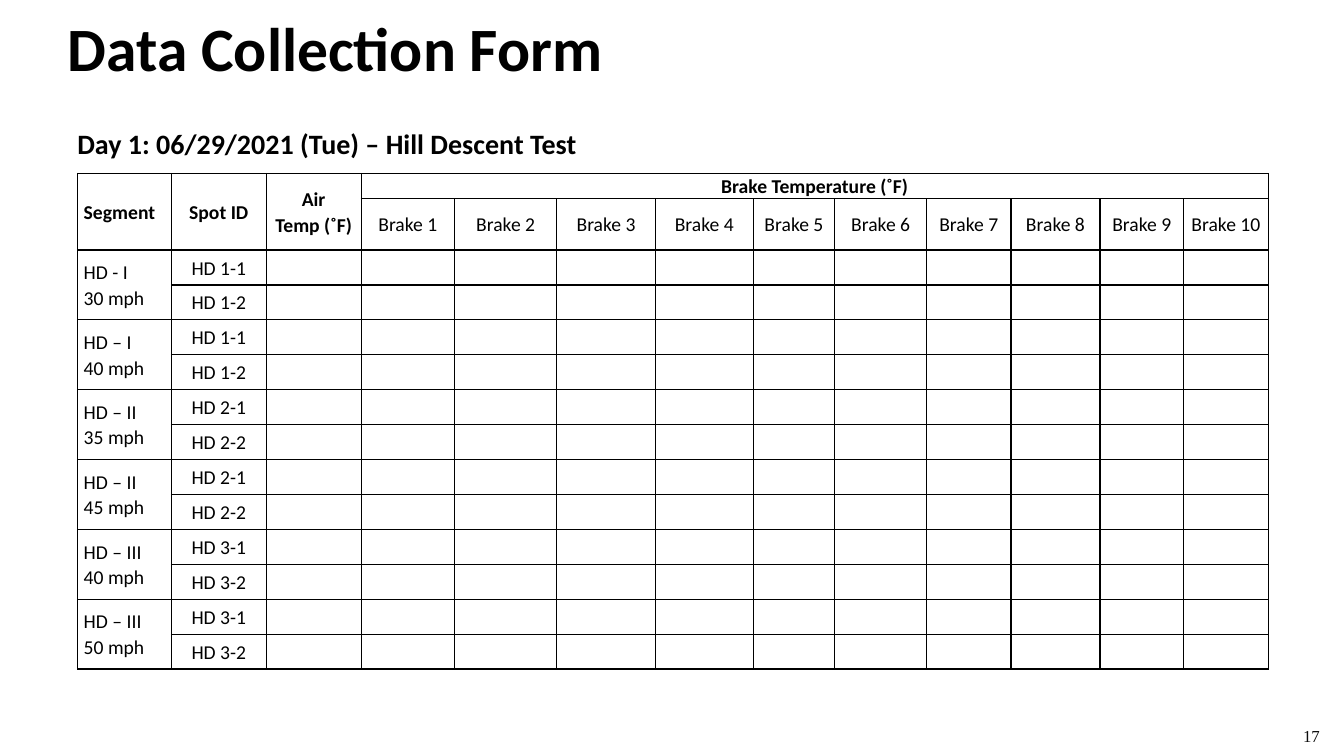
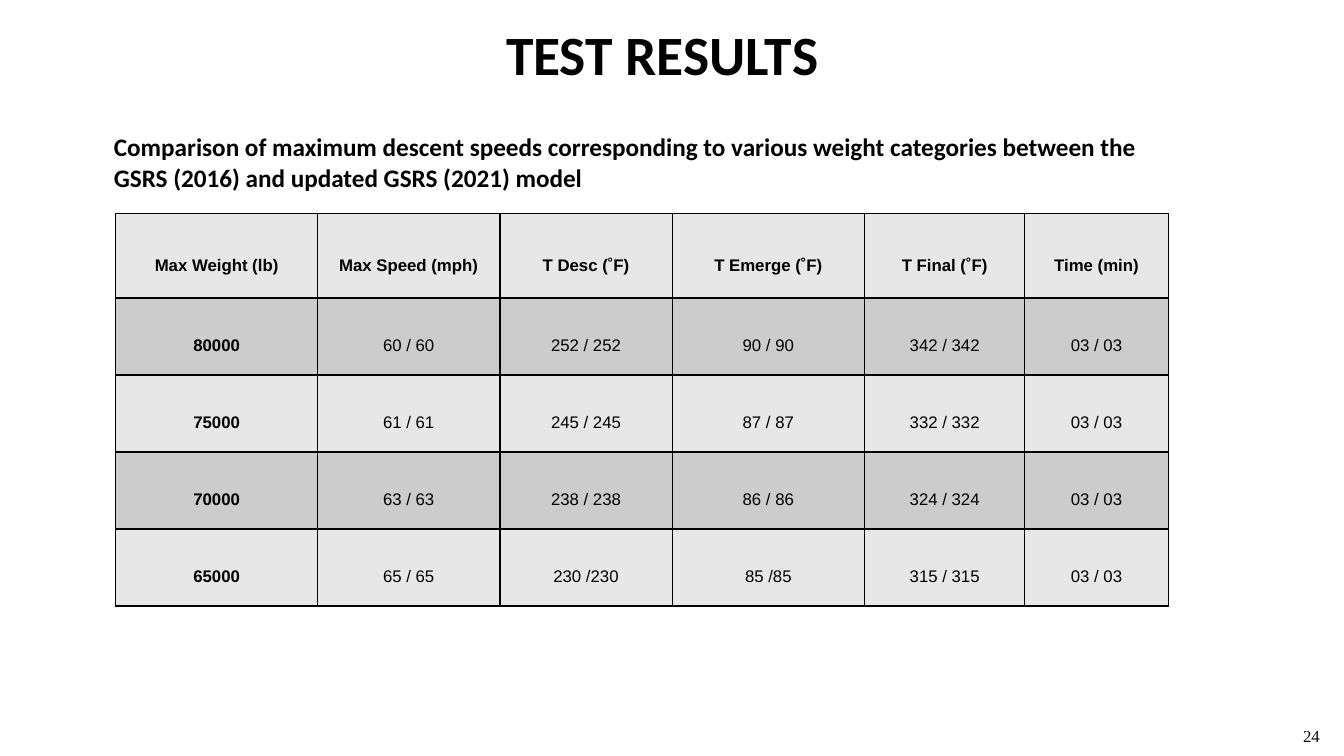
from dataclasses import dataclass

from lxml.etree import SubElement
from pptx import Presentation
from pptx.dml.color import RGBColor
from pptx.enum.text import MSO_ANCHOR as Anchor, MSO_AUTO_SIZE as AutoSize, PP_ALIGN as Align
from pptx.oxml.ns import qn
from pptx.util import Cm, Pt


@dataclass(frozen=True)
class Theme:
    """Colours, fonts and type sizes shared by the slides."""
    ink: str = "000000"
    number_ink: str = "0D0D0D"
    light: str = "E7E7E7"
    dark: str = "CCCCCC"
    main_font: str = "Calibri"
    data_font: str = "Arial"
    number_font: str = "Times New Roman"
    form_title: float = 44
    results_title: float = 39.6
    form_heading: float = 20
    results_heading: float = 18
    form_cell: float = 14
    small: float = 12
    border: float = 1


THEME = Theme()
TITLE_ONLY = 5

SEGMENTS = [
    ("HD - I", 30, 1), ("HD – I", 40, 1),
    ("HD – II", 35, 2), ("HD – II", 45, 2),
    ("HD – III", 40, 3), ("HD – III", 50, 3),
]
FORM_COLS = [2.36, 2.39, 2.39, 2.36, 2.57, 2.49, 2.46, 2.06, 2.31, 2.13, 2.24, 2.11, 2.13]
FORM_ROWS = [0.64, 1.29] + [0.88] * (2 * len(SEGMENTS))

RESULTS = [
    ["Max Weight (lb)", "Max Speed (mph)", "T Desc (˚F)", "T Emerge (˚F)", "T Final (˚F)", "Time (min)"],
    ["80000", "60 / 60", "252 / 252", "90 / 90", "342 / 342", "03 / 03"],
    ["75000", "61 / 61", "245 / 245", "87 / 87", "332 / 332", "03 / 03"],
    ["70000", "63 / 63", "238 / 238", "86 / 86", "324 / 324", "03 / 03"],
    ["65000", "65 / 65", "230 /230", "85 /85", "315 / 315", "03 / 03"],
]
RESULTS_COLS = [5.08, 4.6, 4.34, 4.85, 4.04, 3.61]
RESULTS_ROWS = [2.13] + [1.94] * 4


def write(tf, text, size, font=THEME.main_font, color=THEME.ink, bold=False,
          align=Align.LEFT, spacing=None):
    """Fill a text frame, one paragraph for each line of text."""
    for i, line in enumerate(text.split("\n")):
        p = tf.add_paragraph() if i else tf.paragraphs[0]
        p.alignment = align
        if spacing:
            p.line_spacing = spacing
        if not line:
            SubElement(p._p, qn("a:endParaRPr"), sz=str(int(size * 100)))
            continue
        r = p.add_run()
        r.text = line
        r.font.size, r.font.name, r.font.bold = Pt(size), font, bold
        r.font.color.rgb = RGBColor.from_string(color)


def add_text(s, box, text, size, anchor=Anchor.TOP, **fmt):
    """Add a wrapped text box at (left, top, width, height) in centimetres."""
    tf = s.shapes.add_textbox(*map(Cm, box)).text_frame
    tf.word_wrap = True
    tf.vertical_anchor = anchor
    write(tf, text, size, **fmt)


def add_slide(prs, title, box, size, number, align=Align.LEFT):
    """Add a slide with its title and page number."""
    s = prs.slides.add_slide(prs.slide_layouts[TITLE_ONLY])
    sp = s.shapes.title
    sp.left, sp.top, sp.width, sp.height = map(Cm, box)
    tf = sp.text_frame
    tf.auto_size = AutoSize.NONE
    tf.vertical_anchor = Anchor.MIDDLE
    write(tf, title, size, bold=True, align=align)
    add_text(s, (32.59, 18.16, 1.27, 0.8), str(number), THEME.small,
             font=THEME.number_font, color=THEME.number_ink)
    return s


def add_grid(s, left, top, cols, rows):
    """Add a plain table with the given column widths and row heights."""
    frame = s.shapes.add_table(len(rows), len(cols), Cm(left), Cm(top),
                               Cm(sum(cols)), Cm(sum(rows)))
    table = frame.table
    table.first_row = table.horz_banding = False
    for column, width in zip(table.columns, cols):
        column.width = Cm(width)
    for row, height in zip(table.rows, rows):
        row.height = Cm(height)
    return table


def set_borders(cell):
    """Draw a solid line on all four sides of a cell."""
    tc_pr = cell._tc.get_or_add_tcPr()
    for side in ("lnL", "lnR", "lnT", "lnB"):
        line = SubElement(tc_pr, qn(f"a:{side}"), w=str(Pt(THEME.border)))
        SubElement(SubElement(line, qn("a:solidFill")), qn("a:srgbClr"), val=THEME.ink)


def fill_cell(cell, text, size, inset, fill=None, **fmt):
    """Give a cell its borders, fill, insets and text."""
    set_borders(cell)
    if fill:
        cell.fill.solid()
        cell.fill.fore_color.rgb = RGBColor.from_string(fill)
    else:
        cell.fill.background()
    cell.margin_left = cell.margin_right = Cm(inset)
    cell.margin_top = cell.margin_bottom = 0
    cell.vertical_anchor = Anchor.MIDDLE
    write(cell.text_frame, text, size, **fmt)


def form_texts():
    """Return the form's wording by (row, column)."""
    texts = {(0, 0): "Segment", (0, 1): "Spot ID", (0, 2): "Air\nTemp (˚F)",
             (0, 3): "Brake Temperature (˚F)"}
    texts.update({(1, 2 + n): f"Brake {n}" for n in range(1, 11)})
    for i, (name, mph, hill) in enumerate(SEGMENTS):
        row = 2 + 2 * i
        texts[row, 0] = f"{name}\n{mph} mph"
        for spot in (1, 2):
            texts[row + spot - 1, 1] = f"HD {hill}-{spot}"
    return texts


def add_form_table(s, left, top):
    """Add the blank brake temperature form."""
    table = add_grid(s, left, top, FORM_COLS, FORM_ROWS)
    for col in range(3):
        table.cell(0, col).merge(table.cell(1, col))
    table.cell(0, 3).merge(table.cell(0, len(FORM_COLS) - 1))
    for row in range(2, len(FORM_ROWS), 2):
        table.cell(row, 0).merge(table.cell(row + 1, 0))
    texts = form_texts()
    for r in range(len(FORM_ROWS)):
        for c in range(len(FORM_COLS)):
            fill_cell(table.cell(r, c), texts.get((r, c), ""), THEME.form_cell, 0.15,
                      bold=r == 0, align=Align.CENTER if c else Align.LEFT, spacing=1.07)


def add_results_table(s, left, top):
    """Add the banded table of test results."""
    table = add_grid(s, left, top, RESULTS_COLS, RESULTS_ROWS)
    for r, values in enumerate(RESULTS):
        for c, value in enumerate(values):
            fill_cell(table.cell(r, c), value, THEME.small, 0.18,
                      fill=THEME.dark if r % 2 else THEME.light, font=THEME.data_font,
                      bold=r == 0 or c == 0, align=Align.CENTER, spacing=2.0)


def build_form_slide(prs):
    """Build the data collection form slide."""
    s = add_slide(prs, "Data Collection Form", (1.45, 0, 30.48, 2.36), THEME.form_title, 17)
    add_text(s, (1.7, 3.07, 30.48, 1.2), "Day 1: 06/29/2021 (Tue) – Hill Descent Test",
             THEME.form_heading, bold=True)
    add_form_table(s, 1.96, 4.37)


def build_results_slide(prs):
    """Build the test results slide."""
    s = add_slide(prs, "TEST RESULTS", (1.45, 0.3, 30.48, 2.08), THEME.results_title, 24,
                  align=Align.CENTER)
    add_results_table(s, 2.92, 5.38)
    add_text(s, (2.62, 3.18, 26.49, 1.8),
             "Comparison of maximum descent speeds corresponding to various weight categories "
             "between the GSRS (2016) and updated GSRS (2021) model",
             THEME.results_heading, anchor=Anchor.MIDDLE, bold=True)


def main():
    """Build and save the presentation."""
    prs = Presentation()
    prs.slide_width, prs.slide_height = Cm(33.87), Cm(19.05)
    build_form_slide(prs)
    build_results_slide(prs)
    prs.save("out.pptx")


if __name__ == "__main__":
    main()
